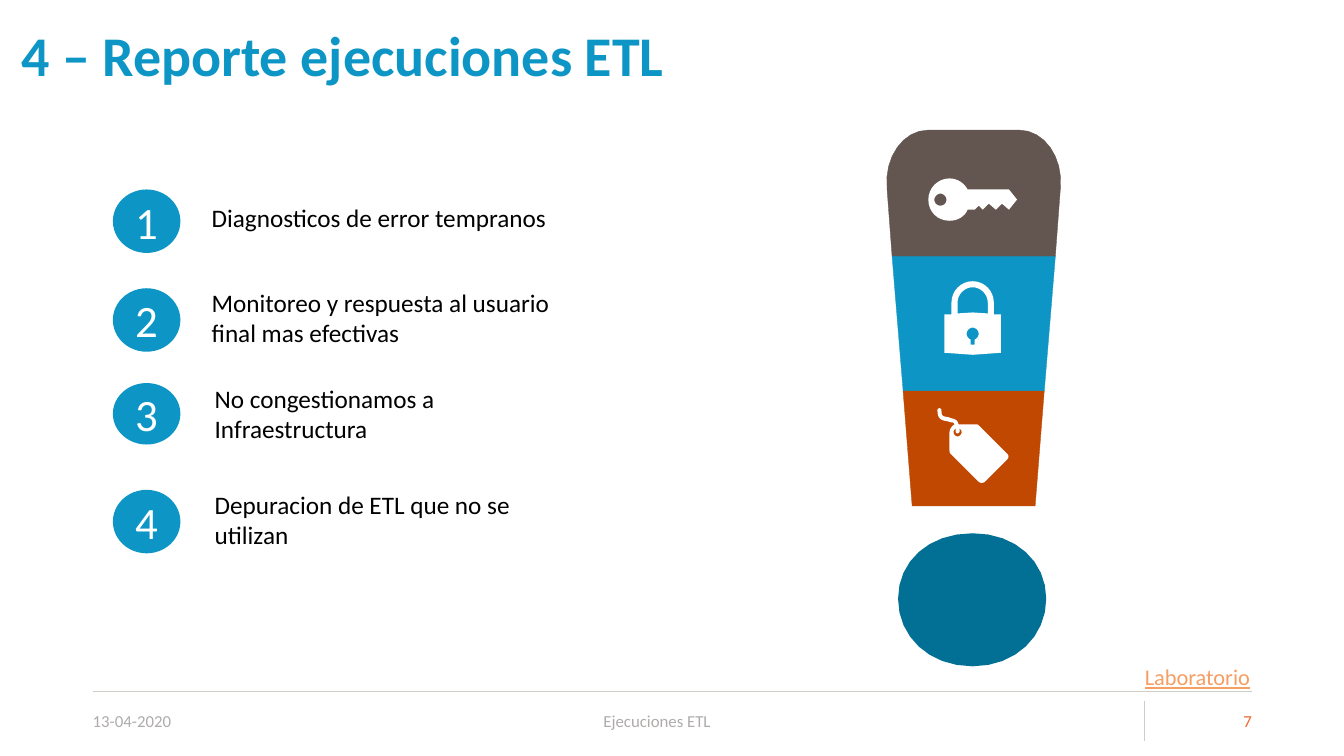
"""Build the ETL report slide: four numbered benefits beside an exclamation mark."""
from pptx import Presentation
from pptx.dml.color import RGBColor
from pptx.enum.shapes import MSO_CONNECTOR, MSO_SHAPE
from pptx.enum.text import MSO_ANCHOR, PP_ALIGN
from pptx.util import Emu, Pt
from lxml import etree

LEFT, CENTER, RIGHT = PP_ALIGN.LEFT, PP_ALIGN.CENTER, PP_ALIGN.RIGHT
TOP, MIDDLE = MSO_ANCHOR.TOP, MSO_ANCHOR.MIDDLE
OVAL, STRAIGHT = MSO_SHAPE.OVAL, MSO_CONNECTOR.STRAIGHT
A_NS = "http://schemas.openxmlformats.org/drawingml/2006/main"
BLUE, WHITE, GREY = "0D96C5", "FFFFFF", "AFABAB"
STEPS = 8

prs = Presentation()
prs.slide_width, prs.slide_height = Emu(12192000), Emu(6858000)
U = prs.slide_height // 750  # one grid cell: 750 rows down the slide
s = prs.slides.add_slide(prs.slide_layouts[6])


def write(sp, text, size, color, align=LEFT, anchor=TOP, insets=(0, 5, 10, 5)):
    """Set the text of a shape; insets are left, top, right, bottom in cells."""
    tf = sp.text_frame
    tf.word_wrap = True
    tf.vertical_anchor = anchor
    tf.margin_left, tf.margin_top, tf.margin_right, tf.margin_bottom = [v * U for v in insets]
    p = tf.paragraphs[0]
    p.text = text
    p.alignment = align
    font = p.runs[0].font
    font.name, font.size = "Calibri", Pt(size)
    font.color.rgb = RGBColor.from_string(color)
    return p


def outline(contours, fill, edged=False):
    """Draw closed contours; a pair is a corner, six numbers are a cubic curve."""
    builder = None
    for start, *segments in contours:
        points, last = [], start
        for seg in segments:
            if len(seg) == 6:
                x1, y1, x2, y2, x3, y3 = seg
                for i in range(1, STEPS + 1):
                    t = i / STEPS
                    k = ((1 - t) ** 3, 3 * t * (1 - t) ** 2, 3 * t * t * (1 - t), t ** 3)
                    points.append((k[0] * last[0] + k[1] * x1 + k[2] * x2 + k[3] * x3,
                                   k[0] * last[1] + k[1] * y1 + k[2] * y2 + k[3] * y3))
            else:
                points.append(seg)
            last = seg[-2:]
        if builder is None:
            builder = s.shapes.build_freeform(start[0] * U, start[1] * U, scale=1.0)
        else:
            builder.move_to(start[0] * U, start[1] * U)
        builder.add_line_segments([(round(x * U), round(y * U)) for x, y in points], close=True)
    sp = builder.convert_to_shape()
    sp.shadow.inherit = False
    sp.fill.solid()
    sp.fill.fore_color.rgb = RGBColor.from_string(fill)
    if edged:
        sp.line.color.rgb = RGBColor.from_string(fill)
        sp.line.width = Pt(0.25)
    else:
        sp.line.fill.background()


for x1, y1, x2, y2 in [(92, 686, 1242, 686), (1135, 695, 1135, 735)]:
    rule = s.shapes.add_connector(STRAIGHT, x1 * U, y1 * U, x2 * U, y2 * U)
    rule.line.color.rgb = RGBColor.from_string("CECDC7")
    rule.line.width = Pt(0.5)
    etree.SubElement(rule._element.spPr, f"{{{A_NS}}}effectLst")

footer = [
    (92, 142, "13-04-2020", GREY, LEFT, (0, 5, 0, 5)),
    (289, 756, "Ejecuciones ETL", GREY, CENTER, (10, 5, 40, 5)),
    (1147, 95, "7", "EE672F", RIGHT, (0, 5, 0, 5)),
]
for x, w, text, color, align, insets in footer:
    tb = s.shapes.add_textbox(x * U, 695 * U, w * U, 40 * U)
    write(tb, text, 12, color, align, MIDDLE, insets)

title = s.shapes.add_textbox(21 * U, 16 * U, 1087 * U, 84 * U)
p = write(title, "4 – Reporte ejecuciones ETL", 40, BLUE, anchor=MIDDLE)
p.line_spacing = 0.9
p.runs[0].font.bold = True

outline([[(965, 529), (921, 529, 891, 557, 891, 594), (891, 631, 921, 661, 965, 661),
          (1008, 661, 1038, 631, 1038, 594), (1038, 557, 1008, 529, 965, 529)]], "026F94")
outline([[(885, 254), (1047, 254), (1036, 388), (896, 388)]], BLUE, edged=True)
outline([[(921, 129), (1011, 129), (1036, 129, 1055, 156, 1052, 187), (1047, 254),
          (885, 254), (880, 187), (877, 156, 896, 129, 921, 129)]], "63554F", edged=True)
outline([[(896, 388), (1036, 388), (1027, 502), (905, 502)]], "C14800", edged=True)

tag = [
    [(950, 433), (948, 433, 946, 431, 946, 429), (946, 427, 947, 426, 948, 425),
     (948, 426, 948, 427, 948, 428), (948, 429, 949, 430, 950, 430),
     (951, 430, 952, 429, 952, 428), (952, 427, 952, 426, 952, 425),
     (953, 426, 954, 427, 954, 429), (954, 431, 952, 433, 950, 433)],
    [(999, 450), (971, 422), (970, 421, 969, 421, 968, 421), (951, 421),
     (950, 417, 948, 416, 944, 415), (943, 415, 942, 414, 941, 414),
     (935, 413, 934, 413, 934, 407), (934, 406, 933, 405, 932, 405),
     (931, 405, 930, 406, 930, 407), (930, 416, 934, 417, 940, 418),
     (941, 418, 942, 419, 944, 419), (945, 419, 946, 419, 947, 421),
     (944, 423, 942, 426, 942, 429), (942, 447), (942, 448, 942, 449, 943, 450),
     (971, 478), (972, 479, 973, 479, 974, 479), (975, 479, 976, 479, 977, 478),
     (999, 456), (1001, 454, 1001, 452, 999, 450)],
]
padlock = [
    [(967, 337), (967, 342), (963, 342), (963, 337), (961, 336, 959, 334, 959, 331),
     (959, 328, 962, 325, 965, 325), (968, 325, 971, 328, 971, 331),
     (971, 334, 969, 336, 967, 337)],
    [(950, 300), (950, 292, 957, 285, 965, 285), (973, 285, 980, 292, 980, 300),
     (980, 311), (965, 310), (950, 311)],
    [(986, 312), (986, 300), (986, 289, 977, 279, 965, 279), (953, 279, 944, 289, 944, 300),
     (944, 312), (937, 312), (937, 350), (965, 352), (993, 350), (993, 312)],
]
key = [
    [(981, 202), (988, 208), (994, 202), (1001, 208), (1009, 198), (1001, 188), (960, 188),
     (957, 182, 950, 177, 942, 177), (930, 177, 921, 187, 921, 198),
     (921, 210, 930, 219, 942, 219), (950, 219, 957, 215, 960, 208),
     (967, 208), (971, 204), (975, 208)],
    [(933, 204), (930, 204, 927, 202, 927, 198), (927, 195, 930, 192, 933, 192),
     (936, 192, 939, 195, 939, 198), (939, 202, 936, 204, 933, 204)],
]
for icon in (tag, padlock, key):
    outline(icon, WHITE)

benefits = [
    (188, 63, 210, 196, 40, "Diagnosticos de error tempranos"),
    (286, 63, 210, 280, 71, "Monitoreo y respuesta al usuario final mas efectivas"),
    (380, 61, 213, 375, 71, "No congestionamos a Infraestructura"),
    (486, 63, 213, 480, 71, "Depuracion de ETL que no se utilizan"),
]
for number, (y, h, text_x, text_y, text_h, text) in enumerate(benefits, 1):
    sp = s.shapes.add_shape(OVAL, 112 * U, y * U, 67 * U, h * U)
    sp.shadow.inherit = False
    sp.fill.solid()
    sp.fill.fore_color.rgb = RGBColor.from_string(BLUE)
    sp.line.fill.background()
    write(sp, str(number), 32, WHITE, CENTER, MIDDLE, (4, 4, 4, 4))
    tb = s.shapes.add_textbox(text_x * U, text_y * U, 349 * U, text_h * U)
    write(tb, text, 18, "000000")

lab = s.shapes.add_textbox(1126 * U, 653 * U, 157 * U, 37 * U)
p = write(lab, "Laboratorio", 16, "F79E63", insets=(10, 5, 10, 5))
p.runs[0].font.underline = True

prs.save("out.pptx")
